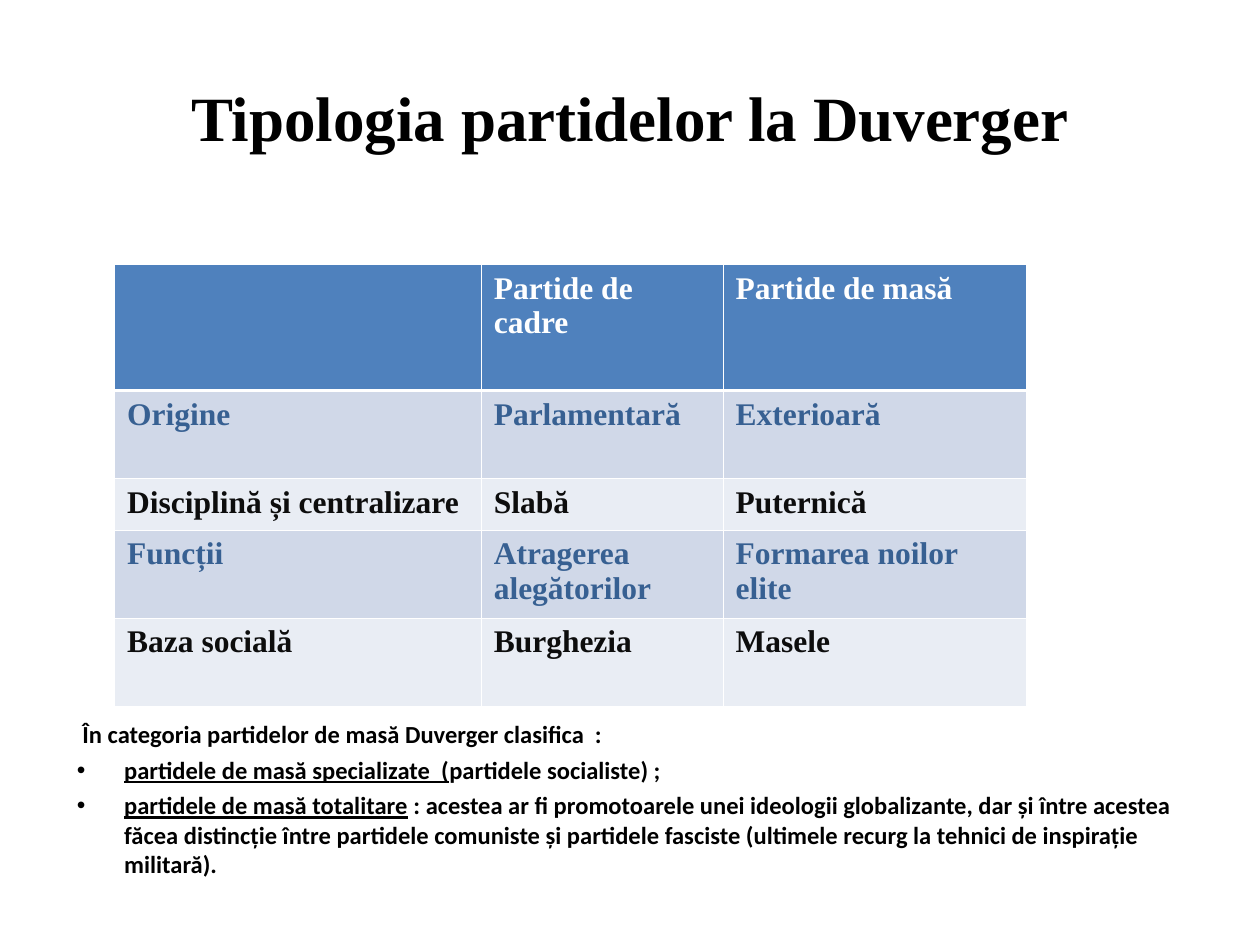
import pptx
import pptx.dml.color
import pptx.enum.text
import pptx.oxml
import pptx.oxml.ns
import pptx.util
from dataclasses import dataclass

Pt = pptx.util.Pt
RGBColor = pptx.dml.color.RGBColor

BLACK = RGBColor(0x00, 0x00, 0x00)
WHITE = RGBColor(0xFF, 0xFF, 0xFF)
BLUE = RGBColor(0x4F, 0x81, 0xBD)
DARK_BLUE = RGBColor(0x37, 0x60, 0x92)
NEAR_BLACK = RGBColor(0x0D, 0x0D, 0x0D)
BAND_DARK = RGBColor(0xD0, 0xD8, 0xE8)
BAND_LIGHT = RGBColor(0xE9, 0xED, 0xF4)
SERIF = "Times New Roman"
SANS = "Calibri"
THIN, THICK = 0.45, 1.47
INDENT = 27


@dataclass
class Row:
    height: float
    cells: tuple[str, str, str]
    fill: RGBColor
    color: RGBColor


@dataclass
class Item:
    underlined: str
    rest: str
    bullet: bool = True


COLUMN_WIDTHS = (209.5, 138.2, 173.5)
ROWS = (
    Row(72, ("", "Partide de cadre", "Partide de masă"), BLUE, WHITE),
    Row(50.4, ("Origine", "Parlamentară", "Exterioară"), BAND_DARK, DARK_BLUE),
    Row(29.2, ("Disciplină și centralizare", "Slabă", "Puternică"),
        BAND_LIGHT, NEAR_BLACK),
    Row(50.4, ("Funcții", "Atragerea alegătorilor", "Formarea noilor elite"),
        BAND_DARK, DARK_BLUE),
    Row(50.4, ("Baza socială", "Burghezia", "Masele"), BAND_LIGHT, NEAR_BLACK),
)
ITEMS = (
    Item("", " În categoria partidelor de masă Duverger clasifica  :", bullet=False),
    Item("partidele de masă specializate  (", "partidele socialiste) ;"),
    Item("partidele de masă totalitare",
         " : acestea ar fi promotoarele unei ideologii globalizante, dar și între "
         "acestea făcea distincție între partidele comuniste și partidele fasciste "
         "(ultimele recurg la tehnici de inspirație militară)."),
)


def place(sp, left: float, top: float, width: float, height: float) -> None:
    sp.left, sp.top, sp.width, sp.height = map(Pt, (left, top, width, height))


def set_font(p, name: str, size: float, color: RGBColor) -> None:
    p.font.name = name
    p.font.size = Pt(size)
    p.font.bold = True
    p.font.color.rgb = color


def add_xml(parent, tag: str, attributes: str, content: str = "") -> None:
    ns = pptx.oxml.ns.nsdecls("a")
    parent.append(pptx.oxml.parse_xml(f"<a:{tag} {ns} {attributes}>{content}</a:{tag}>"))


def set_borders(cell, top: float, bottom: float) -> None:
    tc_pr = cell._tc.get_or_add_tcPr()
    fill = f'<a:solidFill><a:srgbClr val="{WHITE}"/></a:solidFill>'
    for tag, width in (("lnL", THIN), ("lnR", THIN), ("lnT", top), ("lnB", bottom)):
        add_xml(tc_pr, tag, f'w="{int(Pt(width))}"', fill)


def add_title(slide) -> None:
    sp = slide.shapes.title
    place(sp, 36, 21.6, 648, 90)
    tf = sp.text_frame
    tf.text = "Tipologia partidelor la Duverger"
    tf.vertical_anchor = pptx.enum.text.MSO_ANCHOR.MIDDLE
    p = tf.paragraphs[0]
    p.alignment = pptx.enum.text.PP_ALIGN.CENTER
    set_font(p, SERIF, 36, BLACK)


def add_list(slide, items: tuple[Item, ...]) -> None:
    sp = slide.placeholders[1]
    place(sp, 36.7, 407.5, 648, 111.5)
    tf = sp.text_frame
    tf.auto_size = pptx.enum.text.MSO_AUTO_SIZE.NONE
    for i, item in enumerate(items):
        p = tf.add_paragraph() if i else tf.paragraphs[0]
        p.space_before = Pt(3.5 if i else 0)
        p_pr = p._p.get_or_add_pPr()
        p_pr.set("marL", str(int(Pt(INDENT))))
        p_pr.set("indent", str(int(Pt(-INDENT))))
        if item.bullet:
            add_xml(p_pr, "buFont", 'typeface="Arial"')
            add_xml(p_pr, "buChar", 'char="•"')
        else:
            add_xml(p_pr, "buNone", "")
        set_font(p, SANS, 14, BLACK)
        if item.underlined:
            r = p.add_run()
            r.text = item.underlined
            r.font.underline = True
        p.add_run().text = item.rest


def add_party_table(slide, rows: tuple[Row, ...]) -> None:
    height = sum(row.height for row in rows)
    table = slide.shapes.add_table(
        len(rows), len(COLUMN_WIDTHS), Pt(65.5), Pt(151.2),
        Pt(sum(COLUMN_WIDTHS)), Pt(height)).table
    for column, width in zip(table.columns, COLUMN_WIDTHS):
        column.width = Pt(width)
    for i, row in enumerate(rows):
        table.rows[i].height = Pt(row.height)
        for j, text in enumerate(row.cells):
            cell = table.cell(i, j)
            set_borders(cell, THICK if i == 1 else THIN, THICK if i == 0 else THIN)
            cell.fill.solid()
            cell.fill.fore_color.rgb = row.fill
            cell.text = text
            set_font(cell.text_frame.paragraphs[0], SERIF, 18, row.color)


def main() -> None:
    prs = pptx.Presentation()
    prs.slide_width, prs.slide_height = Pt(720), Pt(540)
    slide = prs.slides.add_slide(prs.slide_layouts[1])
    add_title(slide)
    add_list(slide, ITEMS)
    add_party_table(slide, ROWS)
    prs.save("out.pptx")


if __name__ == "__main__":
    main()
